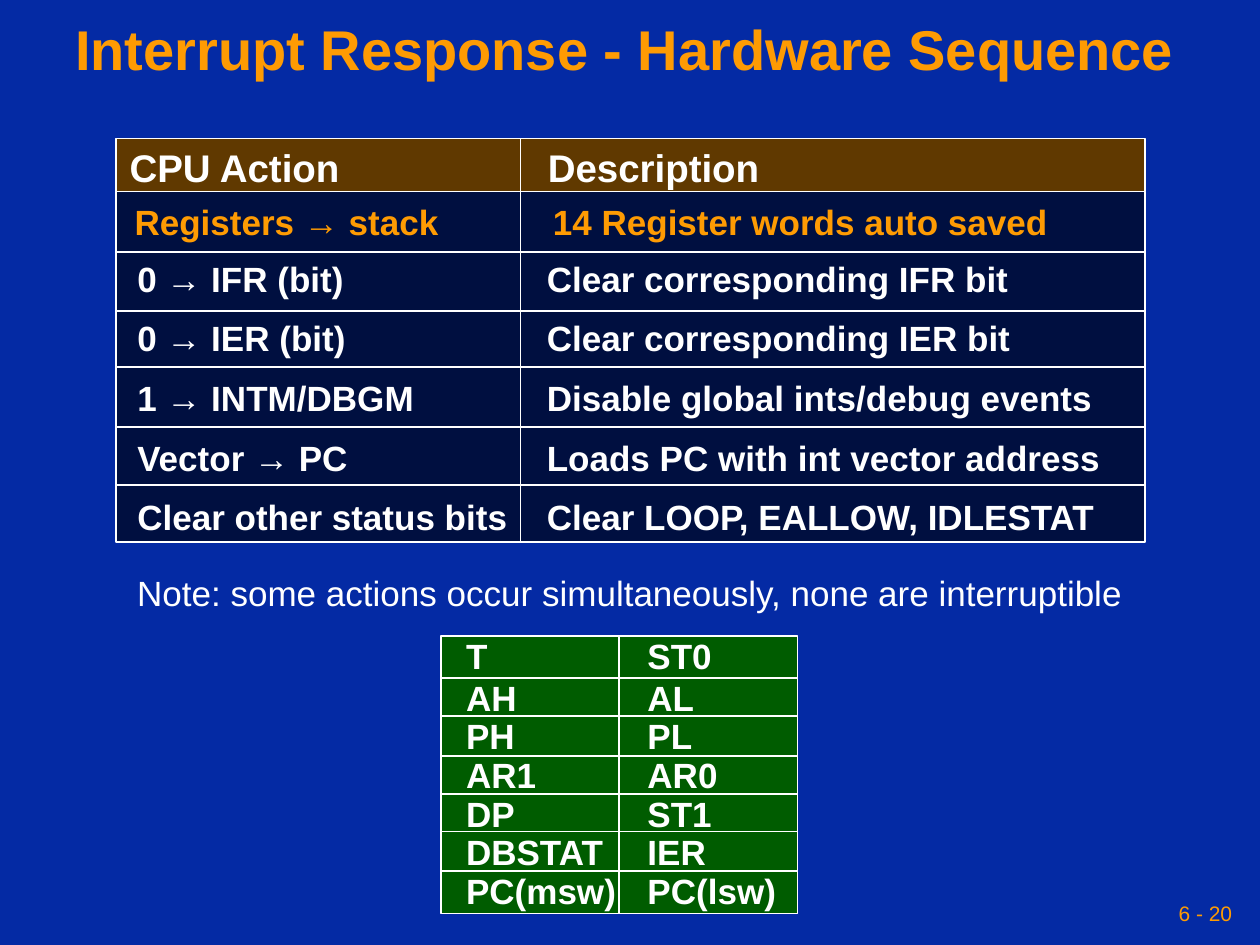
from lxml.etree import SubElement
from pptx import Presentation
from pptx.dml.color import RGBColor
from pptx.enum.shapes import MSO_CONNECTOR, MSO_SHAPE
from pptx.enum.text import MSO_ANCHOR, PP_ALIGN
from pptx.oxml.ns import qn
from pptx.util import Inches, Pt

BLUE, ORANGE, WHITE = "042AA4", "FE9B03", "FFFFFF"
BROWN, NAVY, GREEN = "603900", "000F40", "005C00"

ACTIONS = [
    "0 → IFR (bit)\tClear corresponding IFR bit",
    "0 → IER (bit)\tClear corresponding IER bit",
    "1 → INTM/DBGM\tDisable global ints/debug events",
    "Vector → PC\tLoads PC with int vector address",
    "Clear other status bits\tClear LOOP, EALLOW, IDLESTAT",
]
REGISTERS = [
    "T\tST0",
    "AH\tAL",
    "PH\tPL",
    "AR1\tAR0",
    "DP\tST1",
    "DBSTAT\tIER",
    "PC(msw)\tPC(lsw)",
]


def rgb(value):
    return RGBColor.from_string(value)


class Deck:
    font = "Arial"
    size = 20
    rule = 1
    gap = 12.5

    def __init__(self, prs, background):
        self.s = prs.slides.add_slide(prs.slide_layouts[6])
        fill = self.s.background.fill
        fill.solid()
        fill.fore_color.rgb = rgb(background)

    def rect(self, box, color):
        sp = self.s.shapes.add_shape(MSO_SHAPE.RECTANGLE, *map(Inches, box))
        sp.shadow.inherit = False
        sp.fill.solid()
        sp.fill.fore_color.rgb = rgb(color)
        sp.line.color.rgb = rgb(WHITE)
        sp.line.width = Pt(self.rule)
        return sp

    def line(self, x1, y1, x2, y2, joined=None, sites=(1, 3)):
        cxn = self.s.shapes.add_connector(
            MSO_CONNECTOR.STRAIGHT, *map(Inches, (x1, y1, x2, y2)))
        cxn.line.color.rgb = rgb(WHITE)
        cxn.line.width = Pt(self.rule)
        SubElement(cxn._element.spPr, qn("a:effectLst"))
        if joined is not None:
            cxn.begin_connect(joined, sites[0])
            cxn.end_connect(joined, sites[1])

    def text(self, box, lines, size=size, color=WHITE, bold=False,
             align=PP_ALIGN.LEFT, anchor=MSO_ANCHOR.TOP, first=0.9,
             spacing=0.9, inset=0.1, tab=None, wrap=True):
        tf = self.s.shapes.add_textbox(*map(Inches, box)).text_frame
        tf.word_wrap = wrap
        tf.vertical_anchor = anchor
        tf.margin_left = Inches(inset)
        tf.margin_right = tf.margin_top = tf.margin_bottom = Inches(0.05)
        for i, line in enumerate(lines):
            p = tf.add_paragraph() if i else tf.paragraphs[0]
            p.alignment = align
            p.line_spacing = spacing if i else first
            if i:
                p.space_before = Pt(self.gap)
            if tab:
                tabs = SubElement(p._p.get_or_add_pPr(), qn("a:tabLst"))
                SubElement(tabs, qn("a:tab"), pos=str(Inches(tab)), algn="l")
            r = p.add_run()
            r.text = line
            r.font.name = self.font
            r.font.size = Pt(size)
            r.font.bold = bold
            r.font.color.rgb = rgb(color)


def action_table(deck):
    left, right = 0.92, 9.09
    deck.rect((left, 1.1, right - left, 0.42), BROWN)
    body = deck.rect((left, 1.52, right - left, 2.78), NAVY)
    for y in (2, 2.47, 3.39, 3.85):
        deck.line(left, y, right, y)
    deck.line(left, 2.91, right, 2.91, body)
    deck.line(4.13, 1.1, 4.13, 4.31)
    deck.text((0.93, 1.15, 7.32, 0.25), ["CPU Action\tDescription"], 22,
              bold=True, anchor=MSO_ANCHOR.MIDDLE, first=1.3, tab=3.32, wrap=False)
    deck.text((0.97, 1.58, 8.33, 0.4),
              ["Registers → stack\t14 Register words auto saved"],
              color=ORANGE, bold=True, tab=3.32)
    deck.text((left, 2.03, 8.33, 2.3), ACTIONS, bold=True, inset=0.17, tab=3.25)


def register_table(deck):
    left, top, width, height = 3.5, 5.05, 2.83, 2.2
    frame = deck.rect((left, top, width, height), GREEN)
    deck.text((3.6, 5.08, 2.82, 2.18), REGISTERS, bold=True,
              first=0.7, spacing=0.4, tab=1.44)
    for y in (5.38, 5.68, 6, 6.3, 6.6, 6.91):
        deck.line(left, y, left + width, y)
    middle = left + width / 2
    deck.line(middle, top, middle, top + height, frame, (0, 2))


def main():
    prs = Presentation()
    prs.slide_width, prs.slide_height = Inches(10), Inches(7.5)
    deck = Deck(prs, BLUE)
    deck.text((0, 0, 9.92, 0.83), ["Interrupt Response - Hardware Sequence"],
              32, ORANGE, True, PP_ALIGN.CENTER, MSO_ANCHOR.MIDDLE, inset=0.05)
    action_table(deck)
    deck.text((0.99, 4.55, 8.04, 0.37),
              ["Note: some actions occur simultaneously, none are interruptible"],
              first=0.8, wrap=False)
    register_table(deck)
    deck.text((6.83, 7.08, 3, 0.33), ["6 - 20"], 12, ORANGE,
              align=PP_ALIGN.RIGHT, anchor=MSO_ANCHOR.MIDDLE, first=1.0, inset=0.05)
    prs.save("out.pptx")


if __name__ == "__main__":
    main()
